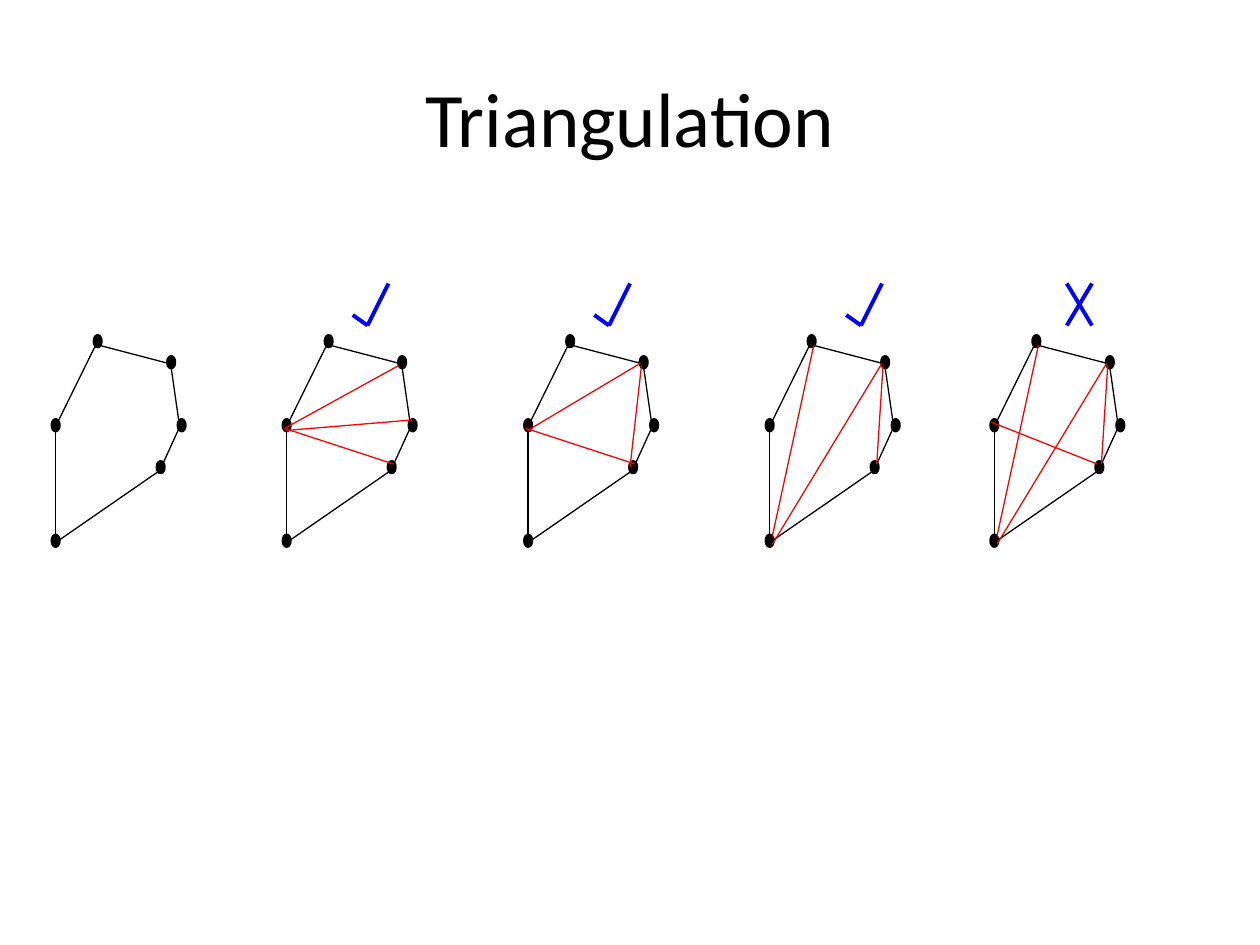
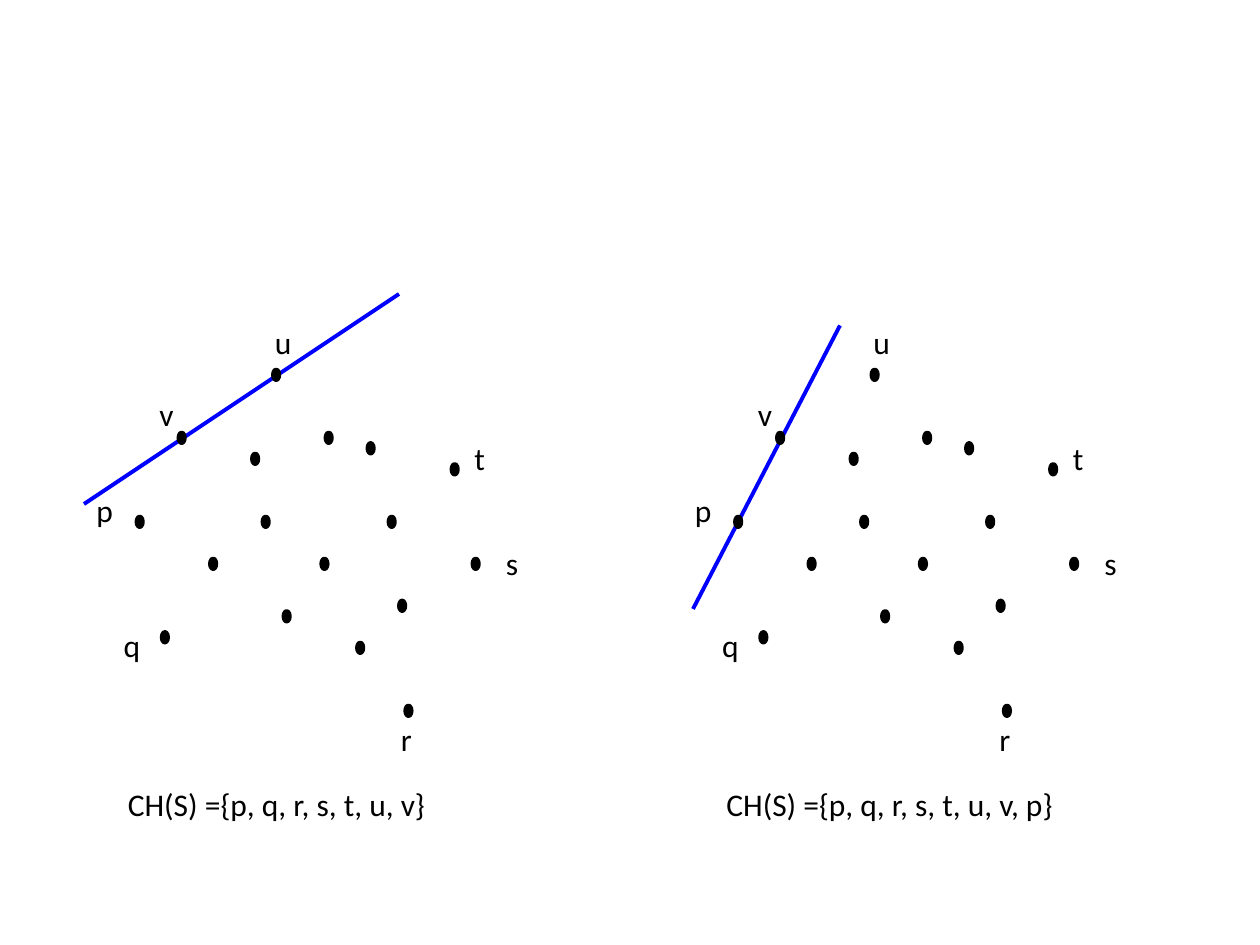
from pptx import Presentation
from pptx import util as u
from pptx.dml.color import RGBColor
from pptx.enum import shapes, text
from pptx.oxml.ns import qn
from lxml import etree

BLACK = RGBColor(0, 0, 0)
RED = RGBColor(255, 0, 0)
BLUE = RGBColor(0, 0, 255)
FONT = "Calibri"

presentation = Presentation()
presentation.slide_width, presentation.slide_height = u.Inches(10), u.Inches(7.5)
blank = presentation.slide_layouts[6]

# Grid of 120 columns by 90 rows, so every cell is square
CELL = presentation.slide_width / 120
DOT_SIZE = (0.6, 1)


def draw(slide, kind, *cells, color=BLACK, width=0.75):
    """Draw a line between two grid points, or a dot at one of them."""
    places = [round(cell * CELL) for cell in cells]
    if kind == "line":
        shape = slide.shapes.add_connector(shapes.MSO_CONNECTOR.STRAIGHT, *places)
        etree.SubElement(shape._element.spPr, qn("a:effectLst"))
    else:
        size = [round(cell * CELL) for cell in DOT_SIZE]
        shape = slide.shapes.add_shape(shapes.MSO_SHAPE.OVAL, *places, *size)
        shape.shadow.inherit = False
        shape.fill.solid()
        shape.fill.fore_color.rgb = color
    shape.line.color.rgb = color
    shape.line.width = u.Pt(width)


def write(slide, words, left, top, columns, rows, size=18, wrap=True,
          anchor=text.MSO_ANCHOR.TOP, align=text.PP_ALIGN.LEFT):
    """Write one paragraph in a text box placed on the grid."""
    places = [round(cell * CELL) for cell in (left, top, columns, rows)]
    frame = slide.shapes.add_textbox(*places).text_frame
    frame.word_wrap = wrap
    frame.vertical_anchor = anchor
    paragraph = frame.paragraphs[0]
    paragraph.text = words
    paragraph.alignment = align
    for name, value in {"name": FONT, "size": u.Pt(size)}.items():
        setattr(paragraph.font, name, value)
    paragraph.font.color.rgb = BLACK


# Slide 1: triangulations of one polygon
slide = presentation.slides.add_slide(blank)
write(slide, "Triangulation", 6, 3.6, 108, 15, size=44,
      anchor=text.MSO_ANCHOR.MIDDLE, align=text.PP_ALIGN.CENTER)

# Columns count from the left vertex of each polygon
vertices = [(4, 32), (10, 44), (0, 51), (11, 34), (0, 40), (12, 40)]
edges = [(0.5, 40.2, 4.1, 32.9), (4.5, 32.9, 11, 34.6), (12.05, 40.8, 10.5, 44.2),
         (11.3, 35, 12.05, 40.2), (0.3, 51, 0.3, 41), (0.05, 51.85, 10.1, 44.9)]
fan = [(0.1, 40.8, 11, 34.8), (0.25, 41, 12.25, 40), (0.1, 40.8, 10.5, 44.2)]
inner_triangle = [(10, 44.5, 11.1, 34.8), (0.25, 41, 11, 34.6), (0.1, 40.8, 10.5, 44.2)]
zigzag = [(0.55, 51.1, 4.5, 32.9), (0.55, 51.85, 11, 34.6), (11.1, 34.8, 10.5, 44.2)]
crossing = zigzag + [(0, 40.2, 10.1, 44.2)]

# Marks count from their own anchor column
tick = [(-1.4, 30, 0, 31), (0, 31, 2, 27)]
cross = [(-0.8, 27, 1.6, 31), (-0.8, 31, 1.6, 27)]

# Left column, diagonals, mark and the column of the mark
polygons = [(5, [], [], 0), (27, fan, tick, 35), (50, inner_triangle, tick, 58),
            (73, zigzag, tick, 82), (94.4, crossing, cross, 102.4)]
for left, diagonals, mark, mark_left in polygons:
    for column, row in vertices:
        draw(slide, "dot", left + column, row, width=2.25)
    for lines, start, color, width in ((edges, left, BLACK, 0.75),
                                       (diagonals, left, RED, 0.75),
                                       (mark, mark_left, BLUE, 2.25)):
        for x1, y1, x2, y2 in lines:
            draw(slide, "line", start + x1, y1, start + x2, y2, color=color, width=width)

# Slide 2: last two steps of the convex hull
slide = presentation.slides.add_slide(blank)
points = [(17, 41.2), (20, 53.2), (27, 58.2), (15.4, 60.2), (26, 35.2), (31, 41.2),
          (37, 49.2), (30.6, 53.2), (43, 44.2), (45, 53.2), (38, 57.2), (38.6, 67.2),
          (24, 43.2), (13, 49.2), (35, 42.2), (25, 49.2), (34, 61.2)]
labels = {"p": (8, 46.2), "q": (10.6, 59), "r": (37, 68), "s": (47, 51.2),
          "t": (44, 41.2), "u": (25, 30.2), "v": (14, 37)}

# Left column, supporting line, caption and its width
steps = [(0, (38, 28, 8, 48), "CH(S) ={p, q, r, s, t, u, v}", 31),
         (57, (23, 31, 9, 58), "CH(S) ={p, q, r, s, t, u, v, p}", 34)]
for left, (x1, y1, x2, y2), caption, caption_width in steps:
    draw(slide, "line", left + x1, y1, left + x2, y2, color=BLUE, width=2.25)
    for column, row in points:
        draw(slide, "dot", left + column, row, width=2.25)
    for name, (column, row) in labels.items():
        write(slide, name, left + column, row, 6, 5)
    write(slide, caption, left + 11, 74.2, caption_width, 4.8, wrap=False,
          align=text.PP_ALIGN.JUSTIFY)

presentation.save("out.pptx")
